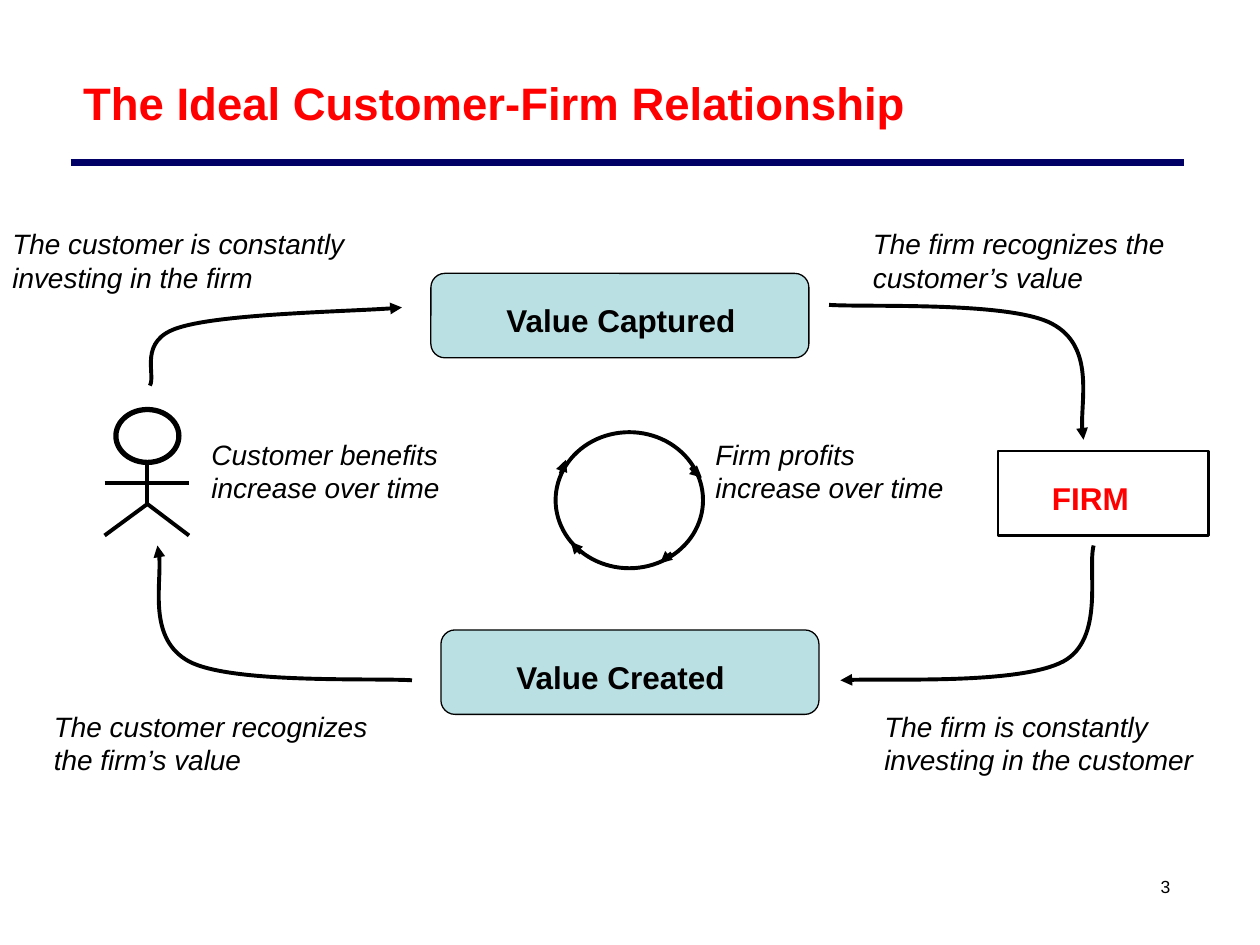
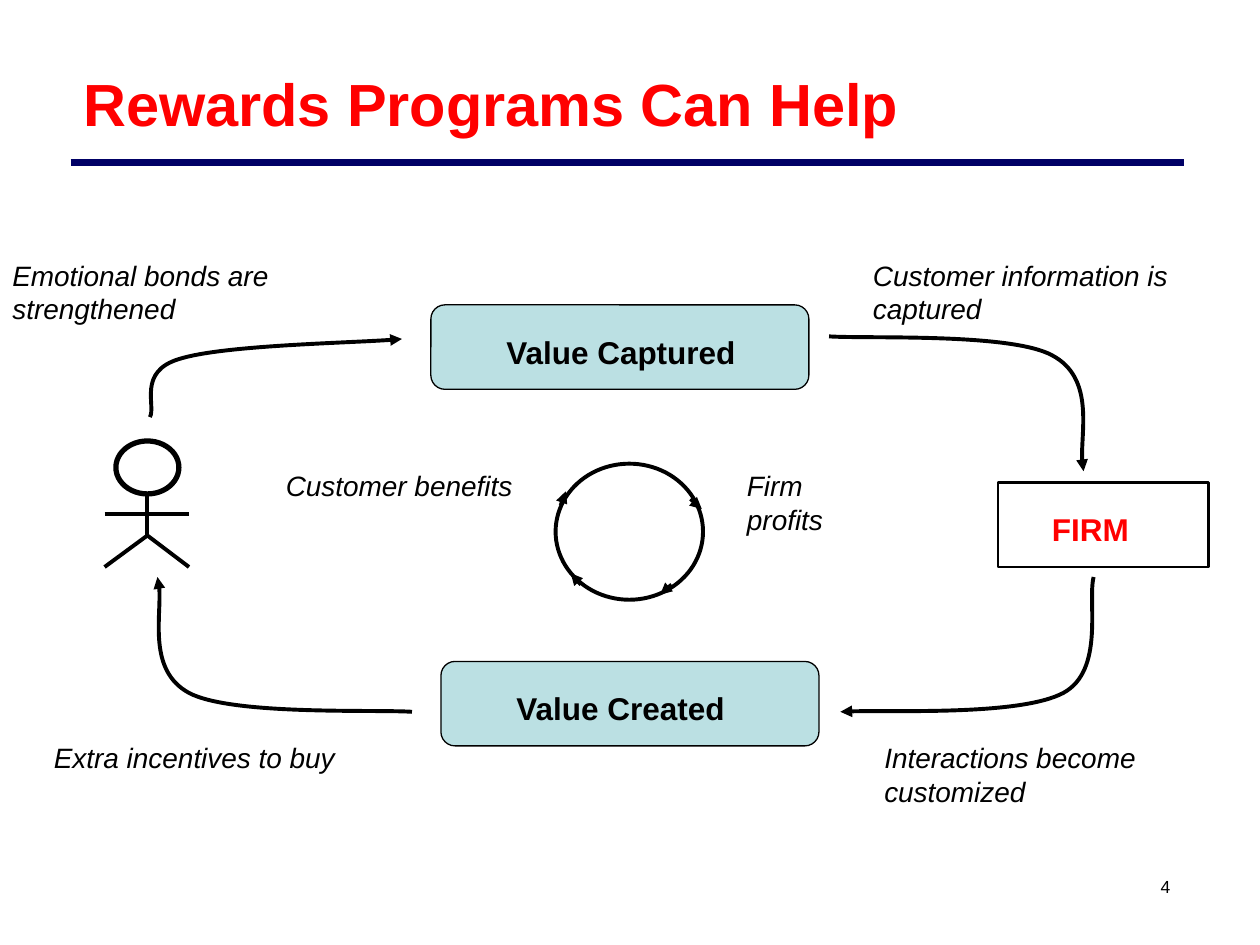
from dataclasses import dataclass

from pptx import Presentation
from pptx.dml.color import RGBColor
from pptx.enum.shapes import MSO_CONNECTOR, MSO_SHAPE
from pptx.enum.text import MSO_ANCHOR, MSO_AUTO_SIZE, PP_ALIGN
from pptx.oxml.xmlchemy import OxmlElement
from pptx.util import Inches, Pt

STRAIGHT = MSO_CONNECTOR.STRAIGHT
RECTANGLE = MSO_SHAPE.RECTANGLE
ROUNDED = MSO_SHAPE.ROUNDED_RECTANGLE
OVAL = MSO_SHAPE.OVAL
MIDDLE = MSO_ANCHOR.MIDDLE
LEFT = PP_ALIGN.LEFT
CENTER = PP_ALIGN.CENTER
FIT_SHAPE = MSO_AUTO_SIZE.SHAPE_TO_FIT_TEXT
NO_FIT = MSO_AUTO_SIZE.NONE
TITLE_ONLY = 5


@dataclass(frozen=True)
class Theme:
    font: str = "Arial"
    black: RGBColor = RGBColor(0, 0, 0)
    red: RGBColor = RGBColor(255, 0, 0)
    navy: RGBColor = RGBColor(0, 0, 0x66)
    box_fill: RGBColor = RGBColor(0xBB, 0xE0, 0xE3)
    label_size: int = 18
    note_size: int = 16
    number_size: int = 10
    rule_width: float = 4.5
    head_width: float = 3
    arrow_width: float = 2.25
    firm_width: float = 1.5
    box_width: float = 0.75


THEME = Theme()
LABEL = {"size": Pt(THEME.label_size), "bold": True}
NOTE = {"size": Pt(THEME.note_size), "italic": True}
NUMBER = {"size": Pt(THEME.number_size)}

FIRST_NUMBER = 3
CYCLE_CURVES = [
    [(6.58, 2.42), (6.88, 2.44), (8.02, 2.39), (8.35, 2.57),
     (8.69, 2.75), (8.55, 3.3), (8.6, 3.49)],
    [(8.68, 4.33), (8.63, 4.52), (8.77, 5.07), (8.44, 5.25),
     (8.1, 5.43), (6.96, 5.38), (6.67, 5.4)],
    [(3.27, 5.4), (2.98, 5.38), (1.84, 5.43), (1.5, 5.25),
     (1.17, 5.07), (1.31, 4.52), (1.25, 4.33)],
    [(1.19, 3.06), (1.24, 2.97), (1.09, 2.7), (1.42, 2.6),
     (1.76, 2.49), (2.9, 2.47), (3.19, 2.44)],
]
WHEEL_ARROWS = [
    ((5.48, 3.71), (5.57, 3.79)),
    ((5.33, 4.39), (5.24, 4.47)),
    ((4.45, 3.76), (4.49, 3.65)),
    ((4.61, 4.39), (4.53, 4.3)),
]
STICK_LIMBS = [
    ((1.17, 3.67), (1.17, 4)),
    ((0.83, 3.83), (1.5, 3.83)),
    ((1.17, 4), (0.83, 4.25)),
    ((1.17, 4), (1.5, 4.25)),
]
VALUE_BOXES = [("Value Captured", 3.42, 2.17), ("Value Created", 3.5, 5)]

SLIDES = [
    {
        "title": "The Ideal Customer-Firm Relationship",
        "title_size": 26,
        "drop": 0,
        "notes": [
            ("The customer is constantly investing in the firm", 0, 1.75, 3, 0.64),
            ("The firm recognizes the customer’s value", 6.83, 1.75, 3, 0.64),
            ("The firm is constantly investing in the customer", 6.92, 5.58, 3, 0.64),
            ("The customer recognizes the firm’s value", 0.33, 5.58, 3, 0.64),
            ("Customer benefits\vincrease over time", 1.58, 3.42, 3, 0.64),
            ("Firm profits\vincrease over time", 5.58, 3.42, 2.33, 0.64),
        ],
    },
    {
        "title": "Rewards Programs Can Help",
        "title_size": 34,
        "drop": 0.25,
        "notes": [
            ("Emotional bonds are strengthened", 0, 1.75, 3, 0.64),
            ("Customer information is captured", 6.83, 1.75, 3, 0.64),
            ("Interactions become customized", 6.92, 5.58, 3, 0.64),
            ("Extra incentives to buy", 0.33, 5.58, 3, 0.37),
            ("Customer benefits", 2.17, 3.42, 2, 0.37),
            ("Firm\vprofits", 5.83, 3.42, 1.75, 0.64),
        ],
    },
]


def set_values(target, values):
    for name, value in values.items():
        setattr(target, name, value)


def place(shape, left, top, width, height):
    names = ("left", "top", "width", "height")
    lengths = map(Inches, (left, top, width, height))
    set_values(shape, dict(zip(names, lengths)))


def write_text(shape, text, font_values, color=THEME.black, align=LEFT, **frame_values):
    frame = shape.text_frame
    set_values(frame, {"word_wrap": True, **frame_values})
    paragraph = frame.paragraphs[0]
    paragraph.text = text
    paragraph.alignment = align
    for run in paragraph.runs:
        set_values(run.font, {"name": THEME.font, **font_values})
        run.font.color.rgb = color


def add_text(slide, text, left, top, width, height, font_values, **values):
    box = slide.shapes.add_textbox(*map(Inches, (left, top, width, height)))
    write_text(box, text, font_values, **{"auto_size": FIT_SHAPE, **values})


def style_line(shape, width, color=THEME.black):
    shape.line.color.rgb = color
    shape.line.width = Pt(width)


def add_arrowhead(shape):
    arrowhead = OxmlElement("a:tailEnd")
    arrowhead.set("type", "triangle")
    shape._element.xpath(".//a:ln")[0].append(arrowhead)


def add_outline(shapes, kind, left, top, width, height, line_width, fill=None):
    shape = shapes.add_shape(kind, *map(Inches, (left, top, width, height)))
    shape.shadow.inherit = False
    style_line(shape, line_width)
    if fill is None:
        shape.fill.background()
    else:
        shape.fill.solid()
        shape.fill.fore_color.rgb = fill


def add_line(shapes, start, end, width, color=THEME.black, drop=0):
    (left, top), (right, bottom) = start, end
    points = (left, top + drop, right, bottom + drop)
    connector = shapes.add_connector(STRAIGHT, *map(Inches, points))
    style_line(connector, width, color)
    connector._element.spPr.append(OxmlElement("a:effectLst"))
    return connector


def add_curved_arrow(slide, points, drop):
    start, *controls = [(Inches(x), Inches(y + drop)) for x, y in points]
    builder = slide.shapes.build_freeform(*start)
    builder.add_line_segments(controls, close=False)
    shape = builder.convert_to_shape()
    segments = shape._element.xpath(".//a:lnTo")
    for index in range(0, len(segments), 3):
        curve = OxmlElement("a:cubicBezTo")
        segments[index].addprevious(curve)
        for segment in segments[index:index + 3]:
            curve.append(segment[0])
            segment.getparent().remove(segment)
    shape.fill.background()
    shape.shadow.inherit = False
    style_line(shape, THEME.arrow_width)
    add_arrowhead(shape)


def add_header_and_number(slide, title, title_size, number):
    place(slide.shapes.title, 0.56, 0.3, 8.81, 1.03)
    title_font = {"size": Pt(title_size), "bold": True}
    write_text(slide.shapes.title, title, title_font, THEME.red,
               vertical_anchor=MIDDLE, auto_size=NO_FIT)
    add_line(slide.shapes, (0.56, 1.29), (9.4, 1.29), THEME.rule_width, THEME.navy)
    add_text(slide, str(number), 9, 6.85, 0.5, 0.37, NUMBER,
             align=CENTER, vertical_anchor=MIDDLE, auto_size=NO_FIT)


def add_customer(slide, drop):
    figure = slide.shapes.add_group_shape()
    add_outline(figure.shapes, OVAL, 0.92, 3.25 + drop, 0.5, 0.42, THEME.head_width)
    for start, end in STICK_LIMBS:
        add_line(figure.shapes, start, end, THEME.arrow_width, drop=drop)


def add_firm(slide, drop):
    add_outline(slide.shapes, RECTANGLE, 7.92, 3.58 + drop, 1.67, 0.67, THEME.firm_width)
    add_text(slide, "FIRM", 8.25, 3.75 + drop, 1, 0.4, LABEL, color=THEME.red)


def add_value_box(slide, text, left, top):
    add_outline(slide.shapes, ROUNDED, left, top, 3, 0.67, THEME.box_width, THEME.box_fill)
    add_text(slide, text, left + 0.5, top + 0.17, 2.08, 0.4, LABEL)


def add_wheel(slide, drop):
    add_outline(slide.shapes, OVAL, 4.41, 3.43 + drop, 1.17, 1.08, THEME.arrow_width)
    for start, end in WHEEL_ARROWS:
        add_arrowhead(add_line(slide.shapes, start, end, THEME.arrow_width, drop=drop))


def add_cycle(slide, notes, drop):
    add_firm(slide, drop)
    add_customer(slide, drop)
    for text, left, top in VALUE_BOXES:
        add_value_box(slide, text, left, top + drop)
    for points in CYCLE_CURVES:
        add_curved_arrow(slide, points, drop)
    for text, left, top, width, height in notes:
        add_text(slide, text, left, top + drop, width, height, NOTE)
    add_wheel(slide, drop)


def main():
    presentation = Presentation()
    presentation.slide_width = Inches(10)
    presentation.slide_height = Inches(7.5)
    for number, content in enumerate(SLIDES, start=FIRST_NUMBER):
        slide = presentation.slides.add_slide(presentation.slide_layouts[TITLE_ONLY])
        add_header_and_number(slide, content["title"], content["title_size"], number)
        add_cycle(slide, content["notes"], content["drop"])
    presentation.save("out.pptx")


if __name__ == "__main__":
    main()
